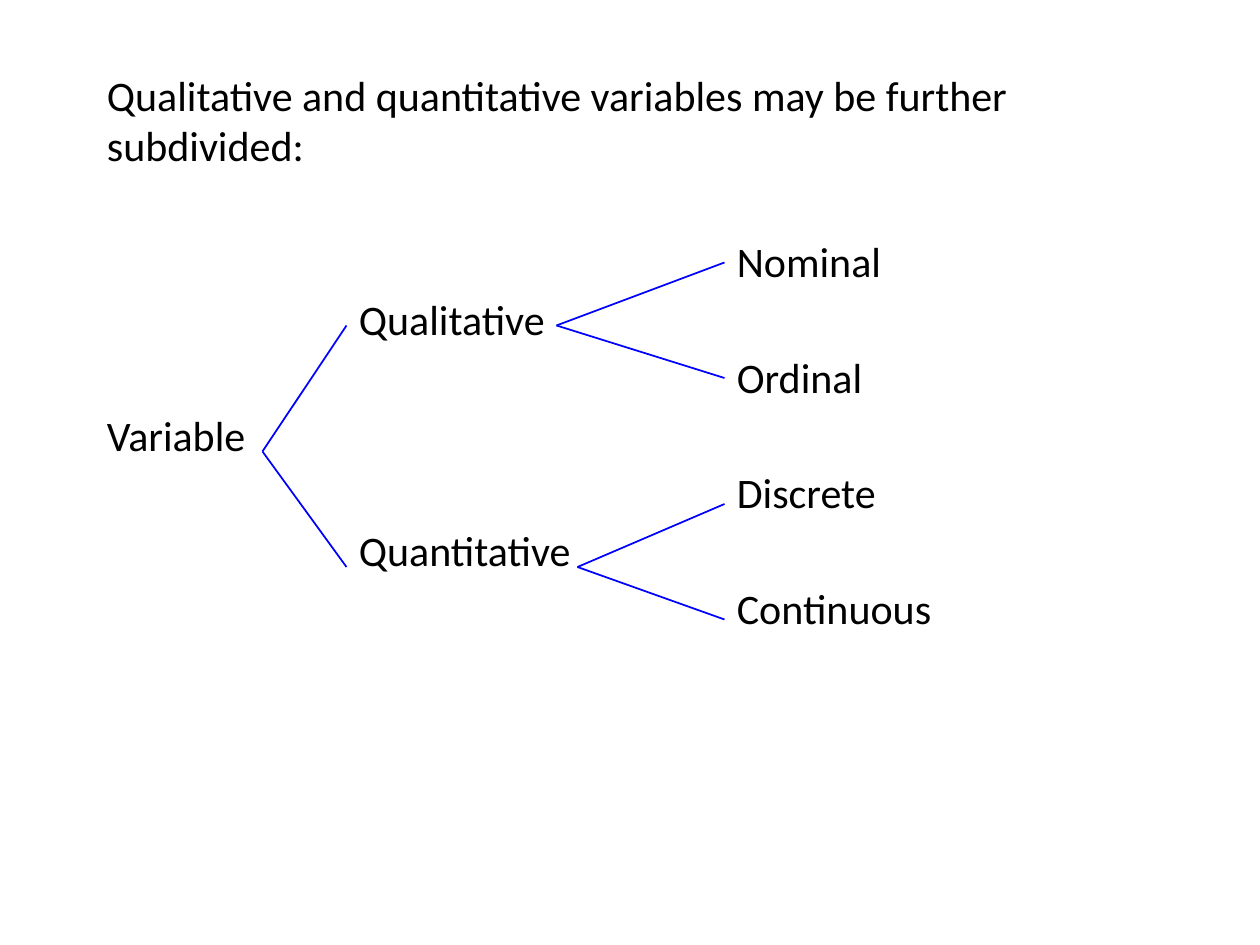
import pptx
import pptx.dml.color
import pptx.enum.shapes
import pptx.oxml.ns
import pptx.util
from dataclasses import dataclass
from lxml import etree

Pt = pptx.util.Pt


@dataclass(frozen=True)
class Theme:
    font: str = "Calibri"
    size: float = 24
    line_width: float = 1
    text: str = "000000"
    branch: str = "0000FF"
    row_gap: float = 4.2
    heading_gap: float = 37.7
    indent: float = 72


class SlideBuilder:
    def __init__(self, prs, theme):
        self.theme = theme
        self.s = prs.slides.add_slide(prs.slide_layouts[6])

    def outline(self, left, top, width, height, heading, rows):
        """Heading followed by rows of (indent steps, wording)."""
        t = self.theme
        sp = self.s.shapes.add_textbox(Pt(left), Pt(top), Pt(width), Pt(height))
        tf = sp.text_frame
        tf.word_wrap = True
        for i, (steps, wording) in enumerate([(0, heading)] + rows):
            p = tf.paragraphs[0] if i == 0 else tf.add_paragraph()
            p.text = wording
            p._p.get_or_add_pPr().set("marL", str(Pt(steps * t.indent)))
            if i:
                p.space_before = Pt(t.heading_gap if i == 1 else t.row_gap)
            p.font.name = t.font
            p.font.size = Pt(t.size)
            p.font.color.rgb = pptx.dml.color.RGBColor.from_string(t.text)

    def fork(self, start, ends):
        """Lines from one point to each of the end points."""
        for end in ends:
            line = self.s.shapes.add_connector(
                pptx.enum.shapes.MSO_CONNECTOR.STRAIGHT,
                *(Pt(v) for v in start + end))
            line.line.color.rgb = pptx.dml.color.RGBColor.from_string(self.theme.branch)
            line.line.width = Pt(self.theme.line_width)
            etree.SubElement(line._element.spPr, pptx.oxml.ns.qn("a:effectLst"))


def main():
    prs = pptx.Presentation()
    prs.slide_width, prs.slide_height = Pt(720), Pt(540)
    slide = SlideBuilder(prs, Theme())

    # Heading and the three levels of the tree
    slide.outline(
        54, 36, 612, 468,
        "Qualitative and quantitative variables may be further subdivided:",
        [(5, "Nominal"), (2, "Qualitative"), (5, "Ordinal"), (0, "Variable"),
         (5, "Discrete"), (2, "Quantitative"), (5, "Continuous")])

    # Branches between the levels
    qualitative_y, quantitative_y = 186, 324
    slide.fork((150, 258), [(198, qualitative_y), (198, quantitative_y)])
    for x, y in ((318, qualitative_y), (330, quantitative_y)):
        slide.fork((x, y), [(414, y - 36), (414, y + 30)])

    prs.save("out.pptx")


if __name__ == "__main__":
    main()
